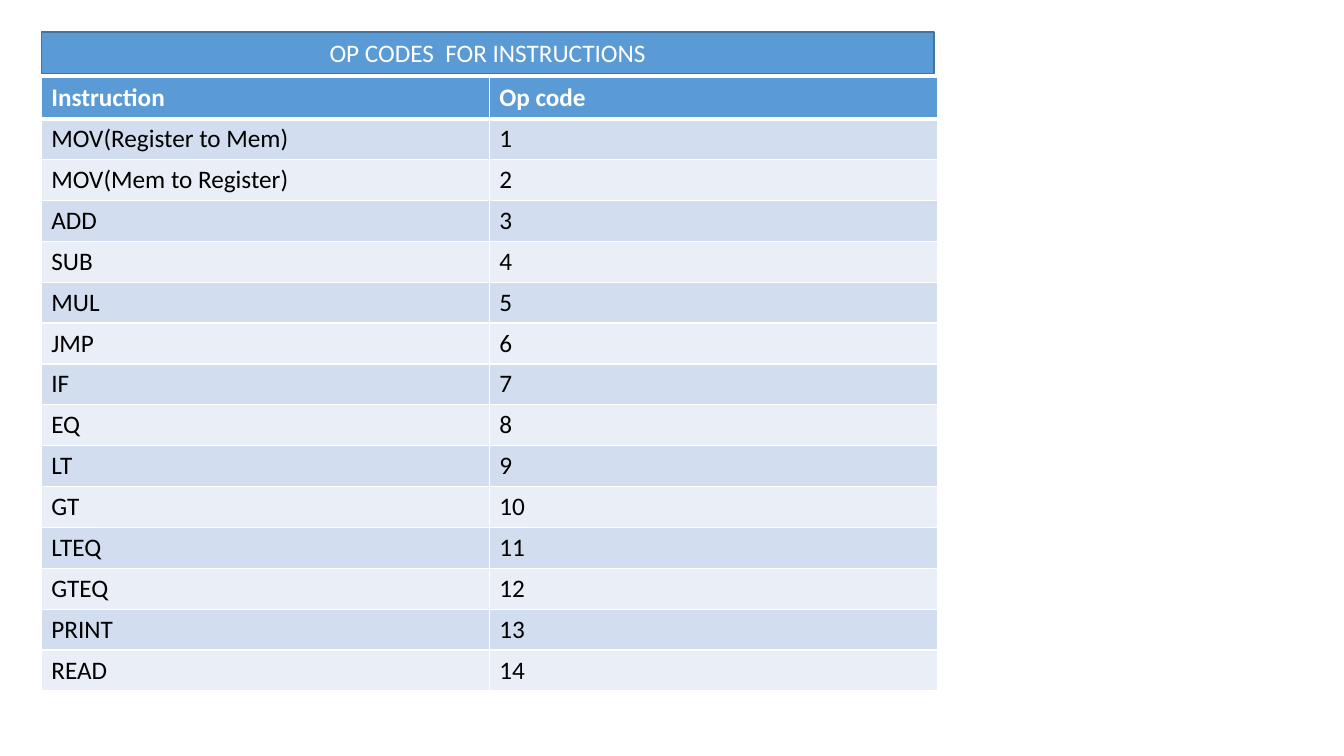
from dataclasses import dataclass

from lxml.etree import SubElement
from pptx import Presentation
from pptx.dml.color import RGBColor as RGB
from pptx.enum.shapes import MSO_SHAPE as Shape
from pptx.enum.text import MSO_ANCHOR as Anchor, PP_ALIGN as Align
from pptx.oxml.ns import qn
from pptx.util import Cm, Pt

TITLE = "OP CODES  FOR INSTRUCTIONS"
HEADINGS = ("Instruction", "Op code")
INSTRUCTIONS = [
    "MOV(Register to Mem)", "MOV(Mem to Register)", "ADD", "SUB", "MUL",
    "JMP", "IF", "EQ", "LT", "GT", "LTEQ", "GTEQ", "PRINT", "READ",
]


@dataclass(frozen=True)
class Theme:
    font: str = "Calibri"
    size: int = 18
    accent: str = "5B9BD5"
    outline: str = "43739E"
    light: str = "FFFFFF"
    dark: str = "000000"
    bands: tuple = ("D2DEEF", "EAEFF7")
    rule: int = 1
    heading_rule: int = 3


THEME = Theme()
LEFT = 1.04
TITLE_TOP, TITLE_WIDTH, TITLE_HEIGHT = 0.81, 22.5, 1.04
TABLE_TOP, COLUMN_WIDTH, ROW_HEIGHT = 1.96, 11.29, 1.03


def write(frame, text, color, bold=False):
    frame.text = text
    font = frame.paragraphs[0].runs[0].font
    font.name, font.size, font.bold = THEME.font, Pt(THEME.size), bold
    font.color.rgb = RGB.from_string(color)


def paint(fill, color):
    fill.solid()
    fill.fore_color.rgb = RGB.from_string(color)


def add_border(cell, side, width):
    properties = cell._tc.get_or_add_tcPr()
    border = SubElement(properties, qn(f"a:ln{side}"), w=str(Pt(width)))
    solid = SubElement(border, qn("a:solidFill"))
    SubElement(solid, qn("a:srgbClr"), val=THEME.light)


def add_title(slide):
    banner = slide.shapes.add_shape(
        Shape.RECTANGLE, Cm(LEFT), Cm(TITLE_TOP), Cm(TITLE_WIDTH), Cm(TITLE_HEIGHT))
    banner.shadow.inherit = False
    paint(banner.fill, THEME.accent)
    paint(banner.line.fill, THEME.outline)
    banner.line.width = Pt(1)
    write(banner.text_frame, TITLE, THEME.light)
    banner.text_frame.vertical_anchor = Anchor.MIDDLE
    banner.text_frame.paragraphs[0].alignment = Align.CENTER


def add_op_codes(slide):
    entries = [HEADINGS] + [
        (name, str(code)) for code, name in enumerate(INSTRUCTIONS, start=1)]
    op_codes = slide.shapes.add_table(
        len(entries), len(HEADINGS), Cm(LEFT), Cm(TABLE_TOP),
        Cm(COLUMN_WIDTH * len(HEADINGS)), Cm(ROW_HEIGHT * len(entries))).table
    for column in op_codes.columns:
        column.width = Cm(COLUMN_WIDTH)
    for index, entry in enumerate(entries):
        op_codes.rows[index].height = Cm(ROW_HEIGHT)
        heading = index == 0
        background = THEME.accent if heading else THEME.bands[(index - 1) % 2]
        rules = {
            "L": THEME.rule,
            "R": THEME.rule,
            "T": THEME.heading_rule if index == 1 else THEME.rule,
            "B": THEME.heading_rule if heading else THEME.rule,
        }
        for cell, text in zip(op_codes.rows[index].cells, entry):
            for side, width in rules.items():
                add_border(cell, side, width)
            paint(cell.fill, background)
            write(cell.text_frame, text, THEME.light if heading else THEME.dark, heading)


def main():
    deck = Presentation()
    deck.slide_width, deck.slide_height = Cm(33.87), Cm(19.05)
    slide = deck.slides.add_slide(deck.slide_layouts[6])
    add_op_codes(slide)
    add_title(slide)
    deck.save("out.pptx")


if __name__ == "__main__":
    main()
